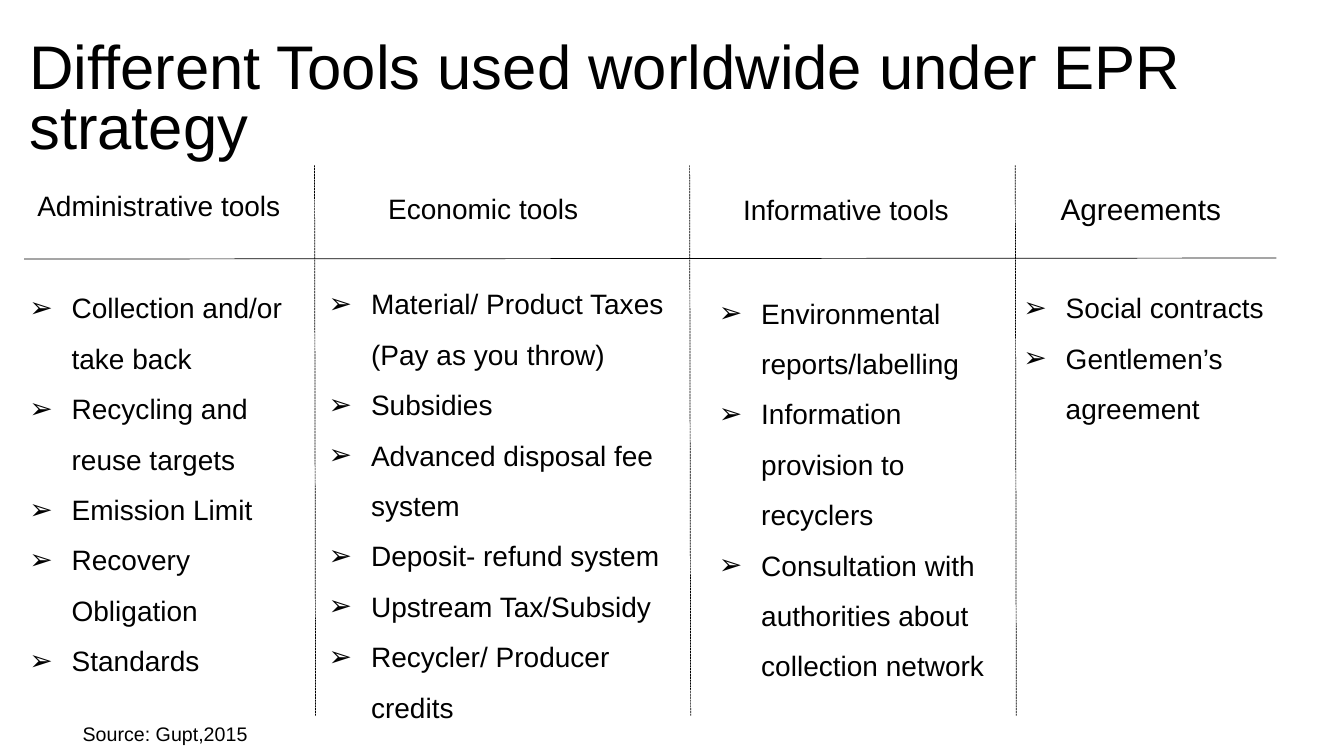
from pptx import Presentation, util as u
from pptx.dml.color import RGBColor
from pptx.enum import dml, shapes, text
from lxml import etree

PX = 9144
A = "{http://schemas.openxmlformats.org/drawingml/2006/main}"
INK = "000000"
INDENT = 42

COLUMNS = [
    dict(heading="Administrative tools", heading_box=(37, 182, 260, 35),
         list_box=(29, 272, 276, 439),
         items=["Collection and/or take back", "Recycling and reuse targets",
                "Emission Limit", "Recovery Obligation", "Standards"]),
    dict(heading="Economic tools", heading_box=(385, 185, 260, 35),
         list_box=(326, 268, 359, 528),
         items=["Material/ Product Taxes (Pay as you throw)", "Subsidies",
                "Advanced disposal fee system", "Deposit- refund system",
                "Upstream Tax/Subsidy", "Recycler/ Producer credits"]),
    dict(heading="Informative tools", heading_box=(737, 186, 260, 35),
         list_box=(713, 277, 275, 398),
         items=["Environmental reports/labelling",
                "Information provision to recyclers",
                "Consultation with authorities about collection network"]),
    dict(heading="Agreements", heading_box=(1052, 184, 260, 39), size=21.3,
         list_box=(1015, 272, 298, 185),
         items=["Social contracts", "Gentlemen’s agreement"]),
]


def px(n):
    """Turn px into EMU."""
    return u.Emu(n * PX)


def color(value):
    """Turn a hex string into a colour."""
    return RGBColor.from_string(value)


def add_bullet(p):
    """Give a paragraph a hanging arrow bullet."""
    pPr = p._p.get_or_add_pPr()
    pPr.set("marL", str(px(INDENT)))
    pPr.set("indent", str(px(-INDENT)))
    etree.SubElement(pPr, A + "buFont", typeface="Arial")
    etree.SubElement(pPr, A + "buChar", char="➢")


def write(sp, box, *lines, size=20, spacing=1.14, bullet=False):
    """Place a text shape in its box and fill it with formatted paragraphs."""
    sp.left, sp.top, sp.width, sp.height = map(px, box)
    tf = sp.text_frame
    tf.word_wrap = True
    tf.auto_size = text.MSO_AUTO_SIZE.NONE
    tf.vertical_anchor = text.MSO_ANCHOR.TOP
    tf.margin_left = tf.margin_top = tf.margin_right = tf.margin_bottom = 0
    for i, line in enumerate(lines):
        p = tf.add_paragraph() if i else tf.paragraphs[0]
        if bullet:
            add_bullet(p)
        p.alignment = text.PP_ALIGN.LEFT
        p.line_spacing = spacing
        p.space_before = p.space_after = u.Pt(0)
        r = p.add_run()
        r.text = line
        r.font.name, r.font.size, r.font.bold = "Arial", u.Pt(size), False
        r.font.color.rgb = color(INK)


def add_label(s, box, label, size=20):
    """Add a one-line text box."""
    write(s.shapes.add_textbox(*map(px, box)), box, label, size=size)


def add_rule(s, x1, y1, x2, y2, dash=None):
    """Draw a thin line between two points."""
    line = s.shapes.add_connector(shapes.MSO_CONNECTOR.STRAIGHT,
                                  *map(px, (x1, y1, x2, y2)))
    line.line.color.rgb = color(INK)
    line.line.width = u.Pt(0.5)
    if dash:
        line.line.dash_style = dash
    etree.SubElement(line._element.spPr, A + "effectLst")


def add_grid(s, left, top, right, bottom, header_y, dividers):
    """Draw the header rule and the dashed column dividers."""
    add_rule(s, left, header_y, right, header_y - 1)
    for x in dividers:
        add_rule(s, x, top, x + 1, bottom, dml.MSO_LINE.SQUARE_DOT)


def add_column(s, body, heading, heading_box, list_box, items, size=20):
    """Add a column heading and its bulleted list."""
    add_label(s, heading_box, heading, size)
    write(body, list_box, *items, spacing=1.5, bullet=True)


def main():
    """Build and save the slide."""
    prs = Presentation()
    prs.slide_width, prs.slide_height = px(1333), px(750)
    s = prs.slides.add_slide(prs.slide_layouts.get_by_name("Comparison"))
    title, *bodies = s.placeholders
    write(title, (29, 42, 1335, 121),
          "Different Tools used worldwide under EPR strategy",
          size=44, spacing=u.Pt(42.7))
    add_grid(s, 24, 164, 1266, 710, header_y=257, dividers=(312, 684, 1007))
    for body, column in zip(bodies, COLUMNS):
        add_column(s, body, **column)
    add_label(s, (82, 713, 260, 25), "Source: Gupt,2015", size=14)
    prs.save("out.pptx")


if __name__ == "__main__":
    main()
